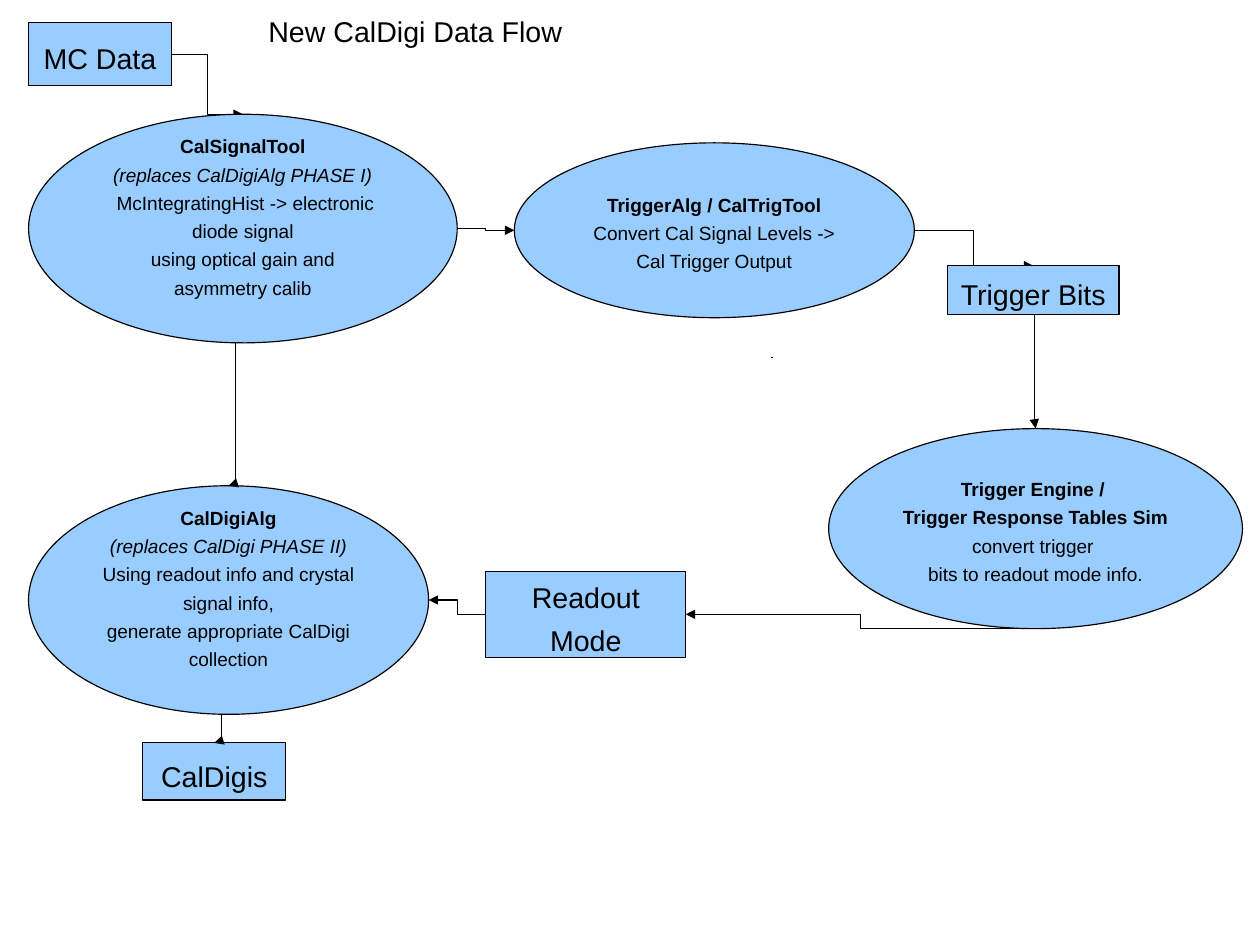
import pptx
import pptx.util
import pptx.dml.color
import pptx.enum.shapes
import pptx.enum.text
import pptx.oxml.ns
from lxml import etree

SLIDE_SIZE_CM = (28, 21)
GRID = 0.25  # inches per column and per row
FONT = "Arial"
LINE_SPACING = 1.24
COLOURS = {"fill": "99CCFF", "ink": "000000"}

TITLE = "New CalDigi Data Flow"
TITLE_CELL = (9, 0, 15.6, 1.88)

# name: (column, row, columns wide, rows high)
DATA_BOXES = {
    "MC Data": (1, 0.8, 5, 2.2),
    "Trigger Bits": (33.16, 9.3, 6, 1.7),
    "Readout Mode": (17, 20, 7, 3),
    "CalDigis": (5, 26, 5, 2),
}

# name: (cell, rows kept free below the text, lines as (text, style))
PROCESSES = {
    "CalSignalTool": ((1, 4, 15, 8), 1, [
        ("CalSignalTool", "bold"),
        ("(replaces CalDigiAlg PHASE I)", "italic"),
        (" McIntegratingHist -> electronic diode signal", "plain"),
        ("using optical gain and asymmetry calib", "plain"),
    ]),
    "TriggerAlg": ((18, 5, 14, 6.12), 0, [
        ("TriggerAlg / CalTrigTool", "bold"),
        ("Convert Cal Signal Levels -> Cal Trigger Output", "plain"),
    ]),
    "Trigger Engine": ((29, 15, 14.48, 7), 0, [
        ("Trigger Engine / ", "bold"),
        ("Trigger Response Tables Sim", "bold"),
        ("convert trigger ", "plain"),
        ("bits to readout mode info.", "plain"),
    ]),
    "CalDigiAlg": ((1, 17, 14, 8), 1, [
        ("CalDigiAlg", "bold"),
        ("(replaces CalDigi PHASE II)", "italic"),
        ("Using readout info and crystal signal info,", "plain"),
        ("generate appropriate CalDigi collection", "plain"),
    ]),
}

# (from, side, to, side)
FLOWS_BEHIND = [
    ("MC Data", "right", "CalSignalTool", "top"),
    ("TriggerAlg", "right", "Trigger Bits", "top"),
    ("Trigger Engine", "bottom", "Readout Mode", "right"),
]
FLOWS_IN_FRONT = [
    ("CalSignalTool", "right", "TriggerAlg", "left"),
    ("Trigger Bits", "bottom", "Trigger Engine", "top"),
    ("CalSignalTool", "bottom", "CalDigiAlg", "top"),
    ("Readout Mode", "left", "CalDigiAlg", "right"),
    ("CalDigiAlg", "bottom", "CalDigis", "top"),
]
DOT_START, DOT_END = (27, 12.5), (27.01, 12.5)

# share of the width and of the height at which each side has its middle
SIDES = {"top": (0.5, 0), "left": (0, 0.5), "bottom": (0.5, 1), "right": (1, 0.5)}
CELLS = {**DATA_BOXES, **{name: process[0] for name, process in PROCESSES.items()}}


def on_grid(*units):
    return [pptx.util.Inches(unit * GRID) for unit in units]


def colour(name):
    return pptx.dml.color.RGBColor.from_string(COLOURS[name])


def draw_outline(line):
    line.color.rgb = colour("ink")
    line.width = pptx.util.Pt(0.75)


def write_lines(frame, lines, size, alignment):
    frame.word_wrap = True
    for index, (text, style) in enumerate(lines):
        paragraph = frame.paragraphs[0] if index == 0 else frame.add_paragraph()
        paragraph.alignment = alignment
        paragraph.line_spacing = LINE_SPACING
        run = paragraph.add_run()
        run.text = text
        run.font.name = FONT
        run.font.size = pptx.util.Pt(size)
        run.font.bold = style == "bold"
        run.font.italic = style == "italic"
        run.font.color.rgb = colour("ink")


def add_node(slide, preset, cell, lines, size, rows_below=0):
    shape = slide.shapes.add_shape(preset, *on_grid(*cell))
    shape.shadow.inherit = False
    shape.fill.solid()
    shape.fill.fore_color.rgb = colour("fill")
    draw_outline(shape.line)
    frame = shape.text_frame
    frame.vertical_anchor = pptx.enum.text.MSO_ANCHOR.MIDDLE
    frame.margin_bottom = pptx.util.Inches(0.05 + rows_below * GRID)
    write_lines(frame, lines, size, pptx.enum.text.PP_ALIGN.CENTER)
    return shape


def side_middle(name, side):
    column, row, width, height = CELLS[name]
    across, down = SIDES[side]
    return column + across * width, row + down * height


def add_elbow(slide, start, end, arrow=True):
    connector = slide.shapes.add_connector(
        pptx.enum.shapes.MSO_CONNECTOR.ELBOW, *on_grid(*start, *end))
    draw_outline(connector.line)
    properties = connector._element.spPr
    if arrow:
        outline = properties.find(pptx.oxml.ns.qn("a:ln"))
        etree.SubElement(outline, pptx.oxml.ns.qn("a:tailEnd"), type="triangle")
    etree.SubElement(properties, pptx.oxml.ns.qn("a:effectLst"))


def add_flows(slide, flows):
    for source, source_side, target, target_side in flows:
        add_elbow(slide, side_middle(source, source_side),
                  side_middle(target, target_side))


def main():
    presentation = pptx.Presentation()
    presentation.slide_width, presentation.slide_height = map(
        pptx.util.Cm, SLIDE_SIZE_CM)
    slide = presentation.slides.add_slide(presentation.slide_layouts[6])
    presets = pptx.enum.shapes.MSO_SHAPE

    title = slide.shapes.add_textbox(*on_grid(*TITLE_CELL))
    write_lines(title.text_frame, [(TITLE, "plain")], 18,
                pptx.enum.text.PP_ALIGN.LEFT)

    add_flows(slide, FLOWS_BEHIND)
    add_elbow(slide, DOT_START, DOT_END, arrow=False)
    for name, cell in DATA_BOXES.items():
        box = add_node(slide, presets.ROUNDED_RECTANGLE, cell, [(name, "plain")], 18)
        box.adjustments[0] = 0
    for cell, rows_below, lines in PROCESSES.values():
        add_node(slide, presets.OVAL, cell, lines, 12, rows_below)
    add_flows(slide, FLOWS_IN_FRONT)

    presentation.save("out.pptx")


if __name__ == "__main__":
    main()
